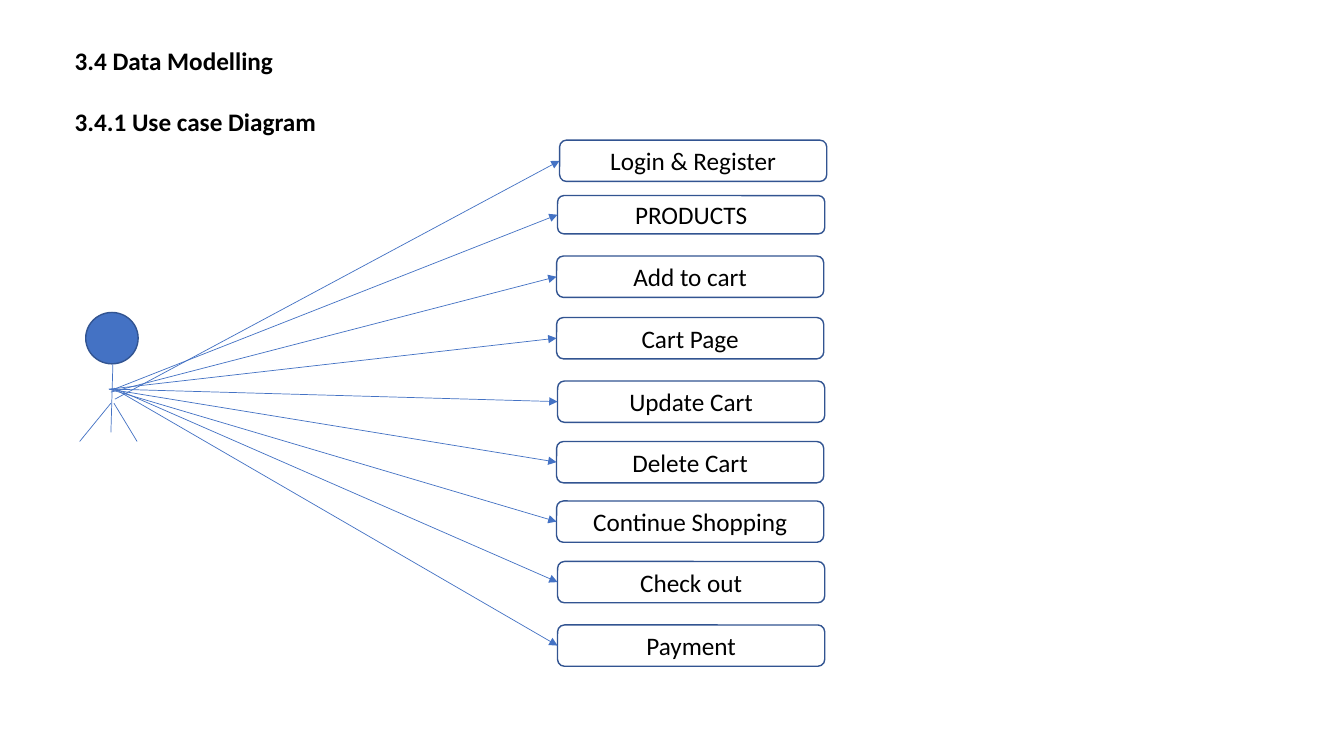
from dataclasses import dataclass

from lxml import etree
from pptx import Presentation
from pptx.dml.color import RGBColor
from pptx.enum.shapes import MSO_CONNECTOR, MSO_SHAPE
from pptx.enum.text import MSO_ANCHOR, MSO_AUTO_SIZE, PP_ALIGN
from pptx.oxml.ns import qn
from pptx.util import Inches, Pt

STRAIGHT = MSO_CONNECTOR.STRAIGHT
ELLIPSE, ROUNDED = MSO_SHAPE.OVAL, MSO_SHAPE.ROUNDED_RECTANGLE
TOP, MIDDLE = MSO_ANCHOR.TOP, MSO_ANCHOR.MIDDLE
LEFT, CENTER = PP_ALIGN.LEFT, PP_ALIGN.CENTER
GROW = MSO_AUTO_SIZE.SHAPE_TO_FIT_TEXT


@dataclass(frozen=True)
class Theme:
    text: RGBColor = RGBColor(0, 0, 0)
    paper: RGBColor = RGBColor(255, 255, 255)
    accent: RGBColor = RGBColor.from_string("4472C4")
    outline: RGBColor = RGBColor.from_string("325491")
    font: str = "Calibri"
    size: Pt = Pt(18)
    border: Pt = Pt(1)
    thin: Pt = Pt(0.5)


theme = Theme()
deck = Presentation()
deck.slide_width, deck.slide_height = Inches(13.33), Inches(7.5)
page = deck.slides.add_slide(deck.slide_layouts[5])


def add_figure(kind, left, top, width, height, fill):
    figure = page.shapes.add_shape(
        kind, Inches(left), Inches(top), Inches(width), Inches(height))
    figure.shadow.inherit = False
    figure.fill.solid()
    figure.fill.fore_color.rgb = fill
    figure.line.color.rgb = theme.outline
    figure.line.width = theme.border
    return figure


def add_line(start, end, arrow=False):
    line = page.shapes.add_connector(STRAIGHT, *map(Inches, start + end))
    line.line.color.rgb = theme.accent
    line.line.width = theme.thin
    if arrow:
        etree.SubElement(line.line._get_or_add_ln(), qn("a:tailEnd"), type="triangle")
    etree.SubElement(line._element.spPr, qn("a:effectLst"))


# Headings
title = page.shapes.title
title_format = {"left": 0.64, "top": 0.4, "width": 10.93, "height": 1.01}
for name, value in title_format.items():
    setattr(title, name, Inches(value))
title.text_frame.text = "3.4 Data Modelling\n3.4.1 Use case Diagram"
title.text_frame.vertical_anchor = TOP
title.text_frame.auto_size = GROW
heading_font = {"name": theme.font, "size": theme.size, "bold": True}
for para in title.text_frame.paragraphs:
    para.alignment = LEFT
    para.space_before = Pt(0)
    for name, value in heading_font.items():
        setattr(para.font, name, value)
    para.font.color.rgb = theme.text
title.text_frame.paragraphs[1].space_before = Pt(22)

# Actor: head, body and legs
add_figure(ELLIPSE, 0.85, 3.1, 0.52, 0.51, theme.accent)
limbs = [
    ((1.12, 3.61), (1.1, 4.29)),
    ((1.1, 4), (0.79, 4.38)),
    ((1.36, 4.38), (1.13, 4)),
]
for start, end in limbs:
    add_line(start, end)

# Use cases: label, box left, top and height, arrow start
use_cases = [
    ("Login & Register", 5.55, 1.39, 0.41, (1.14, 3.96)),
    ("PRODUCTS", 5.53, 1.94, 0.38, (1.11, 3.87)),
    ("Add to cart", 5.52, 2.54, 0.41, (1.1, 3.89)),
    ("Cart Page", 5.52, 3.15, 0.41, (1.09, 3.86)),
    ("Update Cart", 5.53, 3.78, 0.41, (1.1, 3.86)),
    ("Delete Cart", 5.52, 4.38, 0.41, (1.08, 3.86)),
    ("Continue Shopping", 5.52, 4.97, 0.41, (1.08, 3.86)),
    ("Check out", 5.53, 5.57, 0.41, (1.13, 3.85)),
    ("Payment", 5.53, 6.2, 0.41, (1.14, 3.86)),
]
for label, left, top, height, start in use_cases:
    box = add_figure(ROUNDED, left, top, 2.65, height, theme.paper)
    box.text_frame.vertical_anchor = MIDDLE
    para = box.text_frame.paragraphs[0]
    para.alignment = CENTER
    span = para.add_run()
    span.text = label
    span.font.name, span.font.size = theme.font, theme.size
    span.font.color.rgb = theme.text

# Arrows from the actor to the middle of each box's left side
for label, left, top, height, start in use_cases:
    add_line(start, (left, top + height / 2), arrow=True)

deck.save("out.pptx")
